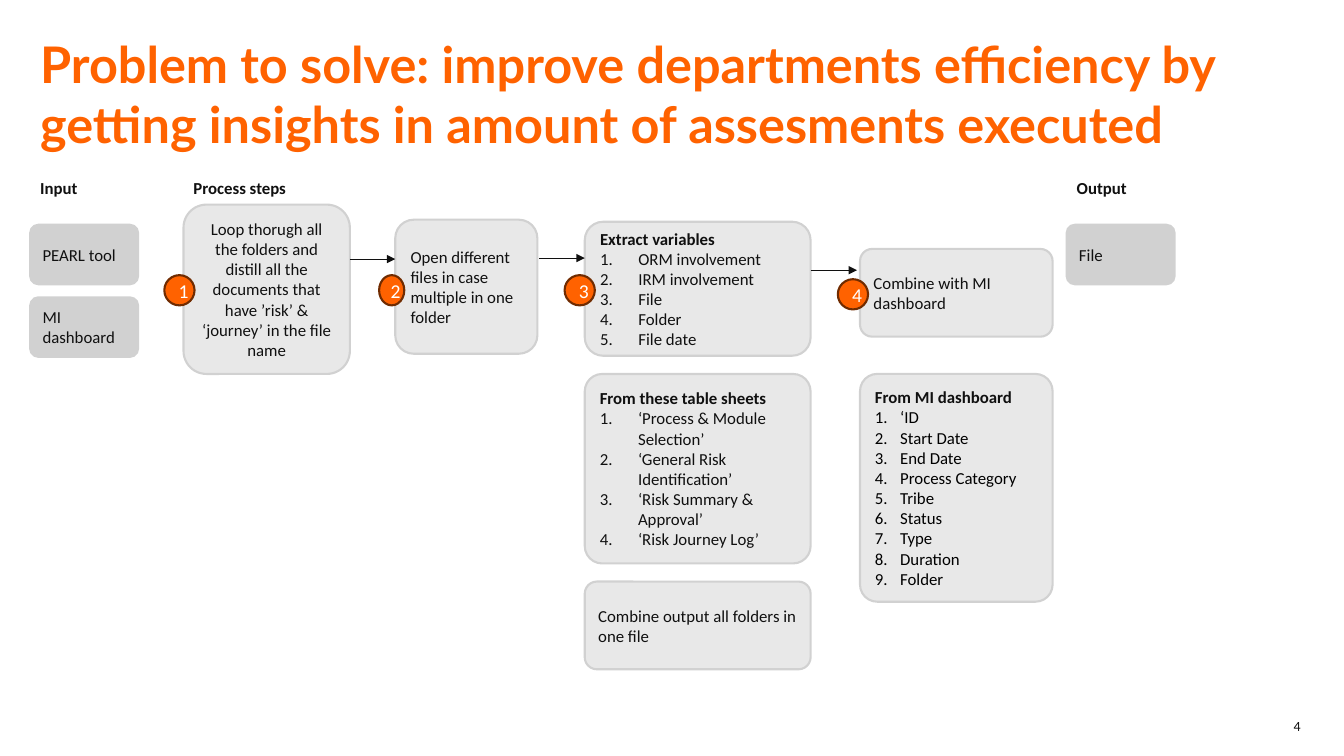
from dataclasses import dataclass

from lxml.etree import SubElement
from pptx import Presentation
from pptx.dml.color import RGBColor
from pptx.enum.shapes import MSO_CONNECTOR, MSO_SHAPE
from pptx.enum.text import MSO_ANCHOR, PP_ALIGN
from pptx.oxml.ns import qn
from pptx.shapes.autoshape import Shape
from pptx.slide import Slide
from pptx.util import Emu, Pt

PX = 9144

ORANGE = RGBColor(0xFF, 0x62, 0x00)
BROWN = RGBColor(0x70, 0x2B, 0x00)
INK = RGBColor(0x10, 0x10, 0x10)
BLACK = RGBColor(0x00, 0x00, 0x00)
WHITE = RGBColor(0xFF, 0xFF, 0xFF)
LIGHT_GREY = RGBColor(0xE8, 0xE8, 0xE8)
GREY = RGBColor(0xD1, 0xD1, 0xD1)


@dataclass(frozen=True)
class Style:
    size: int = 12
    color: RGBColor = INK
    bold: bool = False
    align: PP_ALIGN = PP_ALIGN.LEFT
    font: str = "Calibri"


@dataclass(frozen=True)
class Card:
    left: int
    top: int
    width: int
    height: int
    text: str
    items: tuple[str, ...] = ()
    indent: int = 38
    item_color: RGBColor = INK
    fill: RGBColor = LIGHT_GREY
    align: PP_ALIGN = PP_ALIGN.LEFT
    rounding: float = 0.138


@dataclass(frozen=True)
class Badge:
    left: int
    top: int
    width: int = 30


@dataclass(frozen=True)
class Arrow:
    start: int
    end: int
    y: int


@dataclass(frozen=True)
class Label:
    left: int
    top: int
    width: int
    height: int
    text: str
    style: Style = Style(bold=True)


BADGE_TEXT = Style(size=14, color=WHITE, align=PP_ALIGN.CENTER)

LABELS = (
    Label(30, 26, 1269, 133,
          "Problem to solve: improve departments efficiency by getting insights "
          "in amount of assesments executed",
          Style(36, ORANGE, True, font="Lato")),
    Label(30, 171, 101, 30, "Input"),
    Label(182, 171, 165, 30, "Process steps"),
    Label(1058, 171, 165, 30, "Output"),
    Label(1247, 706, 53, 29, "4", Style(size=10, align=PP_ALIGN.RIGHT)),
)

CARDS = (
    Card(30, 223, 107, 59, "PEARL tool", fill=GREY),
    Card(30, 295, 107, 59, "MI dashboard", fill=GREY),
    Card(182, 203, 165, 168,
         "Loop thorugh all the folders and distill all the documents that have "
         "’risk’ & ‘journey’ in the file name", align=PP_ALIGN.CENTER),
    Card(392, 218, 141, 133, "Open different files in case multiple in one folder"),
    Card(580, 220, 224, 133, "Extract variables",
         ("ORM involvement", "IRM involvement", "File", "Folder", "File date")),
    Card(580, 371, 224, 188, "From these table sheets",
         ("‘Process & Module Selection’", "‘General Risk Identification’",
          "‘Risk Summary & Approval’", "‘Risk Journey Log’"), rounding=0.092),
    Card(580, 577, 224, 87, "Combine output all folders in one file"),
    Card(853, 247, 191, 87, "Combine with MI dashboard"),
    Card(853, 371, 191, 226, "From MI dashboard",
         ("‘ID", "Start Date", "End Date", "Process Category", "Tribe", "Status",
          "Type", "Duration", "Folder"),
         indent=25, item_color=BLACK, rounding=0.089),
    Card(1058, 223, 107, 59, "File", fill=GREY),
)

BADGES = (Badge(163, 273), Badge(376, 273, 25), Badge(560, 273), Badge(831, 277))

ARROWS = (Arrow(347, 392, 257), Arrow(535, 580, 256), Arrow(804, 850, 268))


def px(length: int) -> Emu:
    return Emu(length * PX)


def write(box: Shape, text: str, style: Style, indent: int = 0) -> None:
    frame = box.text_frame
    para = frame.add_paragraph() if frame.text else frame.paragraphs[0]
    para.text = text
    para.alignment = style.align
    font = para.font
    font.name, font.size, font.bold = style.font, Pt(style.size), style.bold
    font.color.rgb = style.color
    if indent:
        properties = para._p.get_or_add_pPr()
        properties.set("marL", str(px(indent)))
        properties.set("indent", str(-px(indent)))
        numbering = properties.makeelement(qn("a:buAutoNum"), {"type": "arabicPeriod"})
        properties.insert(0, numbering)


def add_box(page: Slide, preset: MSO_SHAPE, left: int, top: int, width: int,
            height: int, fill: RGBColor, line: RGBColor) -> Shape:
    box = page.shapes.add_shape(preset, px(left), px(top), px(width), px(height))
    box.shadow.inherit = False
    box.fill.solid()
    box.fill.fore_color.rgb = fill
    box.line.color.rgb = line
    box.line.width = Pt(1.5)
    box.text_frame.vertical_anchor = MSO_ANCHOR.MIDDLE
    return box


def add_card(page: Slide, card: Card) -> None:
    box = add_box(page, MSO_SHAPE.ROUNDED_RECTANGLE, card.left, card.top,
                  card.width, card.height, card.fill, GREY)
    box.adjustments[0] = card.rounding
    write(box, card.text, Style(bold=bool(card.items), align=card.align))
    for item in card.items:
        write(box, item, Style(color=card.item_color), card.indent)


def add_badge(page: Slide, badge: Badge, number: int) -> None:
    box = add_box(page, MSO_SHAPE.OVAL, badge.left, badge.top, badge.width, 30,
                  ORANGE, BROWN)
    write(box, str(number), BADGE_TEXT)


def add_arrow(page: Slide, arrow: Arrow) -> None:
    connector = page.shapes.add_connector(
        MSO_CONNECTOR.STRAIGHT, px(arrow.start), px(arrow.y), px(arrow.end), px(arrow.y))
    connector.line.color.rgb = INK
    connector.line.width = Pt(0.5)
    SubElement(connector.line._get_or_add_ln(), qn("a:tailEnd"), type="triangle")
    SubElement(connector._element.spPr, qn("a:effectLst"))


def add_label(page: Slide, label: Label) -> None:
    box = page.shapes.add_textbox(
        px(label.left), px(label.top), px(label.width), px(label.height))
    box.text_frame.word_wrap = True
    box.text_frame.vertical_anchor = MSO_ANCHOR.MIDDLE
    write(box, label.text, label.style)


def main() -> None:
    deck = Presentation()
    deck.slide_width, deck.slide_height = px(1333), px(750)
    page = deck.slides.add_slide(deck.slide_layouts[6])
    for label in LABELS:
        add_label(page, label)
    for card in CARDS:
        add_card(page, card)
    for number, badge in enumerate(BADGES, start=1):
        add_badge(page, badge, number)
    for arrow in ARROWS:
        add_arrow(page, arrow)
    deck.save("out.pptx")


if __name__ == "__main__":
    main()
